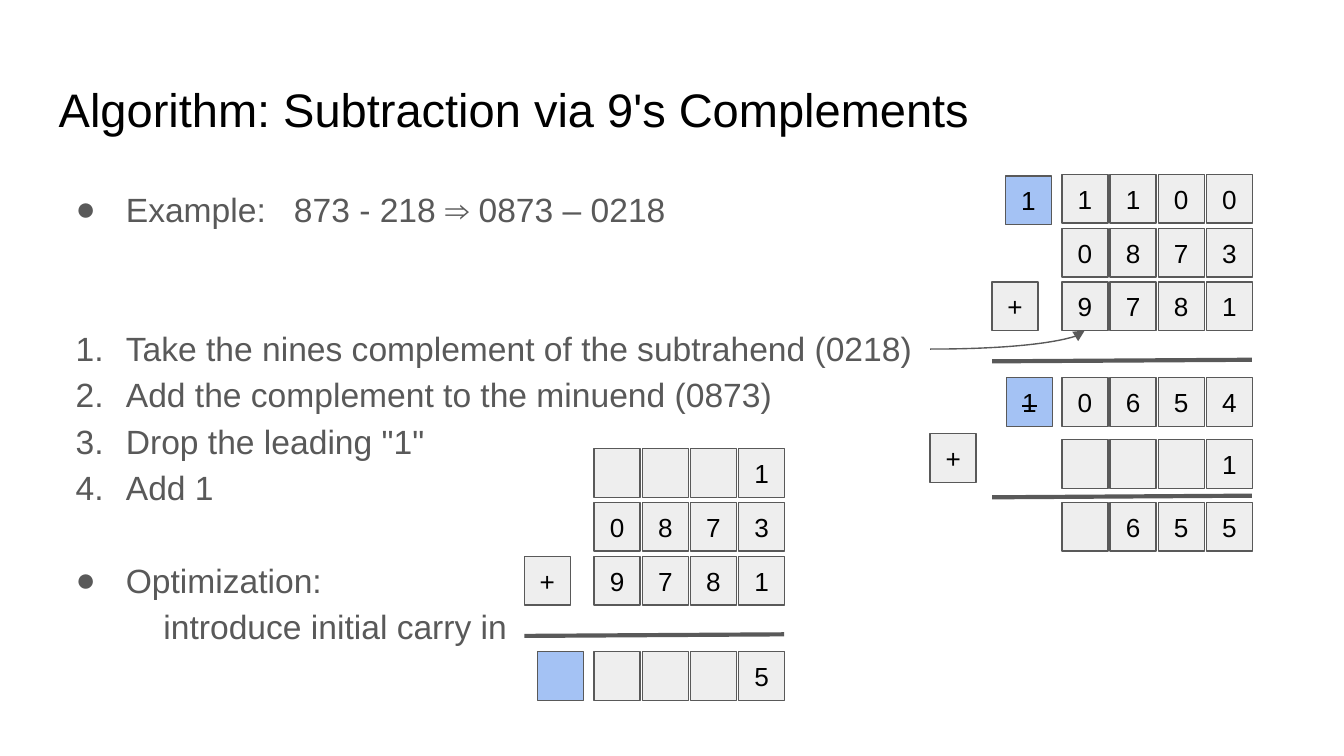
from lxml.etree import SubElement as Sub
from pptx import Presentation
from pptx.dml.color import RGBColor
from pptx.enum.shapes import MSO_CONNECTOR as Link, MSO_SHAPE as Shape
from pptx.enum.text import MSO_ANCHOR as Anchor, PP_ALIGN as Align
from pptx.oxml.ns import qn
from pptx.util import Cm, Pt

BLACK = RGBColor(0x00, 0x00, 0x00)
GRAY = RGBColor(0x59, 0x59, 0x59)
PALE = RGBColor(0xEE, 0xEE, 0xEE)
BLUE = RGBColor(0xA4, 0xC2, 0xF4)
WIDE, HIGH, STEP = 0.87, 0.92, 0.91  # digit cell and column pitch in cm
LINE = 24.85  # body line height in points

deck = Presentation()
deck.slide_width, deck.slide_height = Cm(25.4), Cm(14.29)
slide = deck.slides.add_slide(deck.slide_layouts[6])
shapes = slide.shapes


def write(para, text, size, color):
    run = para.add_run()
    run.text = text
    run.font.name = "Arial"
    run.font.size = Pt(size)
    run.font.color.rgb = color
    return run


def cell(x, y, text, fill=PALE):
    box = shapes.add_shape(Shape.RECTANGLE, Cm(x), Cm(y), Cm(WIDE), Cm(HIGH))
    box.shadow.inherit = False
    box.fill.solid()
    box.fill.fore_color.rgb = fill
    box.line.color.rgb = GRAY
    box.line.width = Pt(0.75)
    frame = box.text_frame
    frame.margin_left = frame.margin_right = 0
    frame.vertical_anchor = Anchor.MIDDLE
    para = frame.paragraphs[0]
    para.alignment = Align.CENTER
    if text.strip():
        return write(para, text, 14, BLACK)


# Title and body frames
frames = []
for top, height in ((1.24, 1.6), (3.2, 9.5)):
    frame = shapes.add_textbox(Cm(0.86), Cm(top), Cm(23.67), Cm(height)).text_frame
    frame.word_wrap = True
    frame.margin_left = frame.margin_right = Cm(0.25)
    frame.margin_top = frame.margin_bottom = Cm(0.25)
    frames.append(frame)
title, body = frames
title.vertical_anchor = Anchor.BOTTOM
write(title.paragraphs[0], "Algorithm: Subtraction via 9's Complements", 25.2, BLACK)

# Body list: mark, blank lines above, runs
items = [
    ("dot", 0, ["Example:", " ", "873 - 218 ⇒ 0873 – 0218"]),
    ("num", 2, ["Take the nines complement of the subtrahend (0218)"]),
    ("num", 0, ["Add the complement to the minuend (0873)"]),
    ("num", 0, ['Drop the leading "1"']),
    ("num", 0, ["Add 1"]),
    ("dot", 1, ["Optimization:"]),
    (None, 0, ["introduce initial carry in"]),
]
for i, (mark, gap, parts) in enumerate(items):
    para = body.add_paragraph() if i else body.paragraphs[0]
    para.line_spacing = Pt(LINE)
    para.space_before = Pt(gap * LINE)
    for part in parts:
        run = write(para, part, 18, GRAY)
        if part == " ":
            run._r.get_or_add_rPr().set("spc", "1000")  # wide gap
    props = para._p.get_or_add_pPr()
    props.set("marL", str(Cm(1.27 if mark else 1.98)))
    props.set("indent", str(Cm(-0.95 if mark else 0)))
    if mark:
        Sub(props, qn("a:buFont"), typeface="Arial")
    if mark == "dot":
        Sub(props, qn("a:buChar"), char="●")
    elif mark == "num":
        Sub(props, qn("a:buAutoNum"), type="arabicPeriod")
    else:
        Sub(props, qn("a:buNone"))

# Digit rows of both sums
sums = [
    (11.23, [(8.48, "   1"), (9.5, "0873"), (10.52, "9781"), (12.32, "   5")]),
    (20.07, [(3.3, "1100"), (4.32, "0873"), (5.33, "9781"), (7.14, "0654"),
             (8.31, "   1"), (9.5, " 655")]),
]
for left, rows in sums:
    for y, row in rows:
        for col, digit in enumerate(row):
            cell(left + col * STEP, y, digit)

# Plus signs and carry cells
for x, y in ((9.91, 10.52), (18.75, 5.33), (17.58, 8.2)):
    cell(x, y, "+")
cell(10.16, 12.32, "", BLUE)
cell(19, 3.33, "1", BLUE)
drop = cell(19.02, 7.14, "1", BLUE)
drop._r.get_or_add_rPr().set("strike", "sngStrike")

# Sum rules and the arrow to the complement
links = [
    (Link.STRAIGHT, 9.91, 12.02, 14.82, 11.99, 2.25),
    (Link.STRAIGHT, 18.75, 6.83, 23.66, 6.8, 2.25),
    (Link.STRAIGHT, 18.75, 9.4, 23.66, 9.37, 2.25),
    (Link.CURVE, 17.58, 6.6, 20.5, 6.25, 0.75),
]
for kind, x1, y1, x2, y2, weight in links:
    link = shapes.add_connector(kind, Cm(x1), Cm(y1), Cm(x2), Cm(y2))
    link.line.color.rgb = GRAY
    link.line.width = Pt(weight)
    props = link._element.spPr
    if kind == Link.CURVE:
        props.find(qn("a:prstGeom")).set("prst", "curvedConnector2")
        Sub(props.find(qn("a:ln")), qn("a:tailEnd"), type="triangle")
    Sub(props, qn("a:effectLst"))

deck.save("out.pptx")
